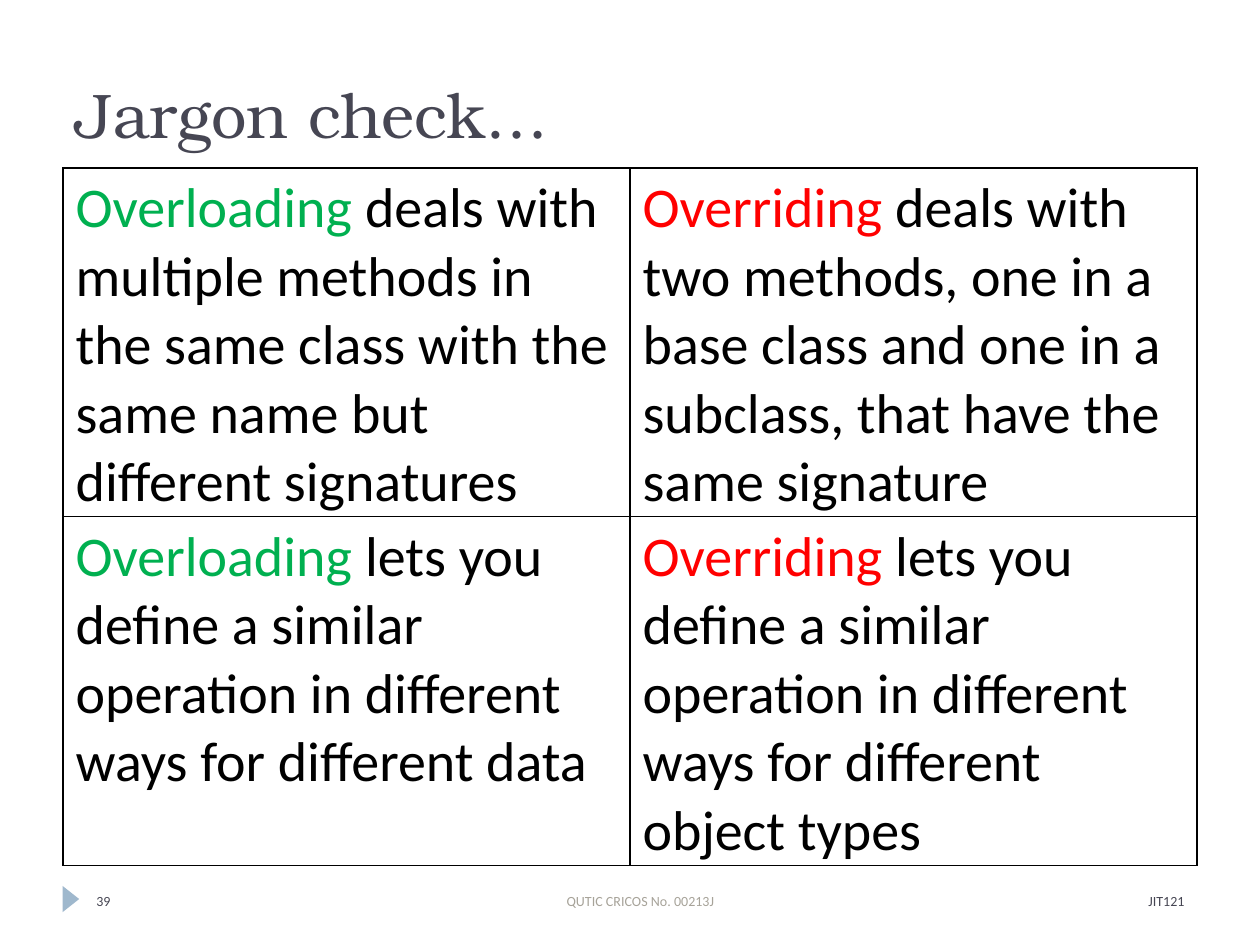
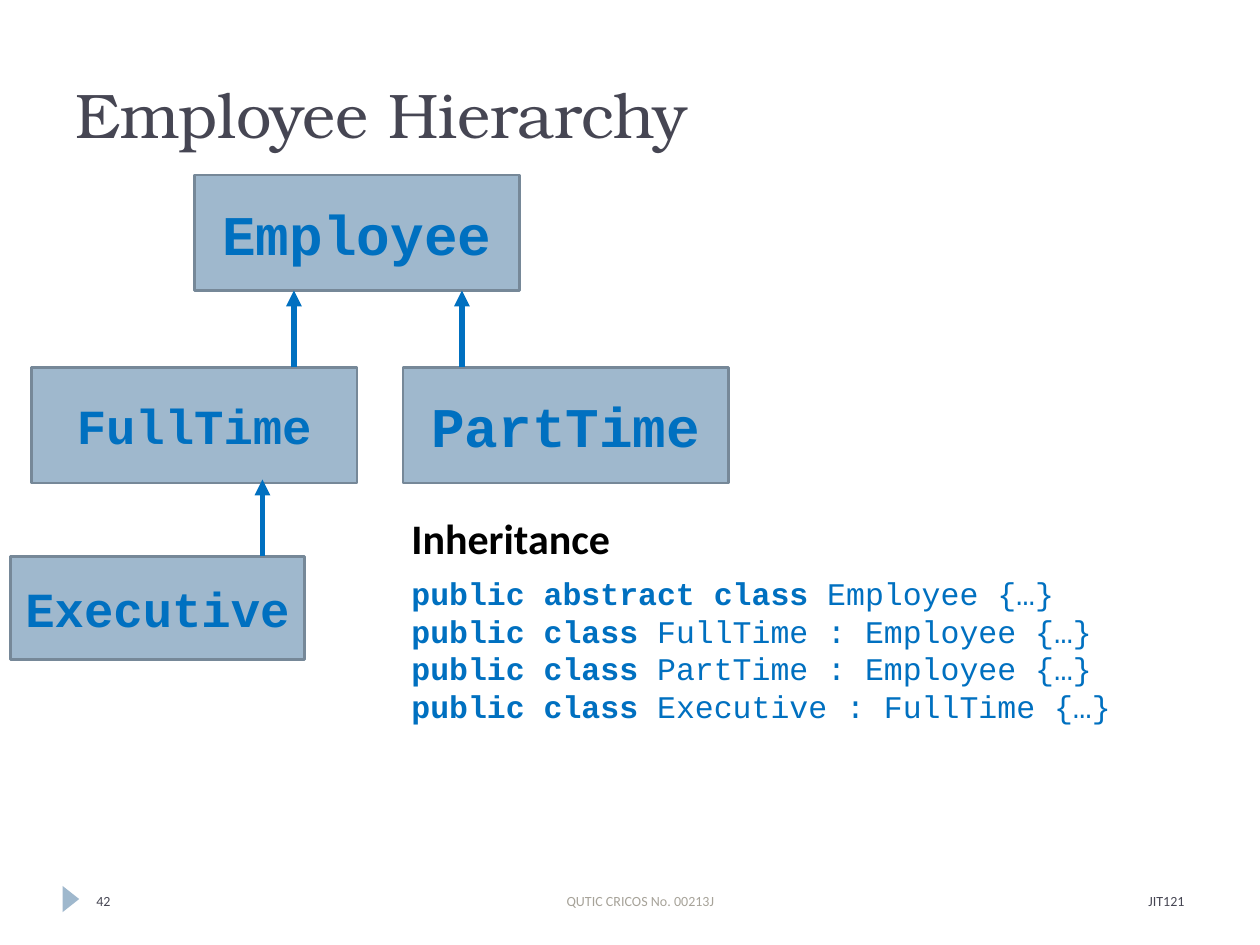
"""Builds two lecture slides on overloading, overriding and inheritance."""
from dataclasses import dataclass

from pptx import Presentation
from pptx import oxml as ox
from pptx.dml import color as dml
from pptx.enum import shapes as es, text as et
from pptx.oxml import ns
from pptx.util import Pt

HEX = {
    "ink": "464653", "grey": "A7A399", "steel": "9FB8CD", "edge": "768898",
    "blue": "0070C0", "green": "00B050", "red": "FF0000", "black": "000000",
}
SERIF, SANS, MONO = "TeX Gyre Bonum", "Calibri", "Courier New"
LEFT, MID, RIGHT = et.PP_ALIGN.LEFT, et.PP_ALIGN.CENTER, et.PP_ALIGN.RIGHT


@dataclass
class Foot:
    left: float
    width: float
    words: str
    hue: str
    align: et.PP_ALIGN


@dataclass
class Box:
    name: str
    left: float
    top: float
    size: int
    width: float = 186
    height: float = 66


@dataclass
class Arrow:
    x: float
    start: float
    end: float


@dataclass
class Cell:
    term: str
    rest: str
    hue: str


CELLS = [
    [Cell("Overloading", " deals with multiple methods in the same class with the same name"
          " but different signatures", "green"),
     Cell("Overriding", " deals with two methods, one in a base class and one in a subclass,"
          " that have the same signature", "red")],
    [Cell("Overloading", " lets you define a similar operation in different ways"
          " for different data", "green"),
     Cell("Overriding", " lets you define a similar operation in different ways"
          " for different object types", "red")],
]
BOXES = [
    Box("FullTime", 18, 210, 28),
    Box("PartTime", 230.4, 210, 32),
    Box("Employee", 111, 100, 32),
    Box("Executive", 6, 318, 28, 168, 59),
]
ARROWS = [Arrow(264, 210, 166), Arrow(168, 210, 166), Arrow(150, 318, 274)]
CODE = [
    ("public abstract class", " Employee {…}"),
    ("public class", " FullTime : Employee {…}"),
    ("public class", " PartTime : Employee {…}"),
    ("public class", " Executive : FullTime {…}"),
]


def shade(hue: str) -> dml.RGBColor:
    return dml.RGBColor.from_string(HEX[hue])


def style(para, face: str, size: float, hue: str, bold=None, align=LEFT) -> None:
    para.alignment = align
    font = para.font
    font.name, font.size, font.bold = face, Pt(size), bold
    font.color.rgb = shade(hue)


def add_text(slide, left: float, top: float, width: float, height: float):
    frame = slide.shapes.add_textbox(Pt(left), Pt(top), Pt(width), Pt(height)).text_frame
    frame.word_wrap = True
    return frame


def add_shape(slide, kind, left: float, top: float, width: float, height: float):
    shape = slide.shapes.add_shape(kind, Pt(left), Pt(top), Pt(width), Pt(height))
    shape.shadow.inherit = False
    shape.fill.solid()
    shape.fill.fore_color.rgb = shade("steel")
    return shape


def add_slide(deck, title: str, number: int):
    slide = deck.slides.add_slide(deck.slide_layouts[5])
    mark = add_shape(slide, es.MSO_SHAPE.ISOSCELES_TRIANGLE, 33, 509, 15, 9.5)
    mark.rotation = 90
    mark.line.fill.background()
    head = slide.shapes.title
    head.left, head.top, head.width, head.height = Pt(36), Pt(12), Pt(648), Pt(78)
    frame = head.text_frame
    frame.text = title
    frame.auto_size = et.MSO_AUTO_SIZE.NONE
    frame.vertical_anchor = et.MSO_ANCHOR.BOTTOM
    style(frame.paragraphs[0], SERIF, 36, "ink")
    for foot in (Foot(504, 180, "JIT121", "ink", RIGHT),
                 Foot(228, 276, "QUTIC CRICOS No. 00213J", "grey", MID),
                 Foot(48, 156, str(number), "ink", LEFT)):
        frame = add_text(slide, foot.left, 500.4, foot.width, 28.8)
        frame.vertical_anchor = et.MSO_ANCHOR.MIDDLE
        frame.text = foot.words
        style(frame.paragraphs[0], SANS, 8, foot.hue, align=foot.align)
    return slide


def add_edges(cell) -> None:
    props = cell._tc.get_or_add_tcPr()
    for side in "LRTB":
        props.append(ox.parse_xml(
            f'<a:ln{side} {ns.nsdecls("a")} w="{Pt(1)}"><a:solidFill>'
            f'<a:srgbClr val="{HEX["black"]}"/></a:solidFill></a:ln{side}>'))
    cell.fill.background()


def add_grid(slide, rows: list[list[Cell]]) -> None:
    table = slide.shapes.add_table(
        len(rows), len(rows[0]), Pt(36), Pt(96), Pt(648), Pt(398)).table
    table.first_row = table.horz_banding = False
    for r, row in enumerate(rows):
        for c, item in enumerate(row):
            cell = table.cell(r, c)
            add_edges(cell)
            para = cell.text_frame.paragraphs[0]
            style(para, SANS, 32, "black")
            run = para.add_run()
            run.text = item.term
            run.font.color.rgb = shade(item.hue)
            para.add_run().text = item.rest


def add_code(slide) -> None:
    frame = add_text(slide, 228, 289.5, 480, 134.5)
    frame.auto_size = et.MSO_AUTO_SIZE.SHAPE_TO_FIT_TEXT
    frame.text = "Inheritance"
    style(frame.paragraphs[0], SANS, 24, "black", True)
    for key, rest in CODE:
        para = frame.add_paragraph()
        style(para, MONO, 18, "blue")
        run = para.add_run()
        run.text, run.font.bold = key, True
        para.add_run().text = rest
    frame.paragraphs[1].space_before = Pt(6)


def add_box(slide, box: Box) -> None:
    shape = add_shape(slide, es.MSO_SHAPE.RECTANGLE, box.left, box.top, box.width, box.height)
    shape.line.color.rgb = shade("edge")
    shape.line.width = Pt(1.5)
    frame = shape.text_frame
    frame.text = box.name
    frame.vertical_anchor = et.MSO_ANCHOR.MIDDLE
    style(frame.paragraphs[0], MONO, box.size, "blue", True, MID)


def add_arrow(slide, arrow: Arrow) -> None:
    link = slide.shapes.add_connector(
        es.MSO_CONNECTOR.STRAIGHT, Pt(arrow.x), Pt(arrow.start), Pt(arrow.x), Pt(arrow.end))
    link.line.color.rgb = shade("blue")
    link.line.width = Pt(3)
    link.line._get_or_add_ln().append(
        ox.parse_xml(f'<a:tailEnd {ns.nsdecls("a")} type="triangle"/>'))
    link._element.spPr.append(ox.parse_xml(f'<a:effectLst {ns.nsdecls("a")}/>'))


def main() -> None:
    deck = Presentation()
    deck.slide_width, deck.slide_height = Pt(720), Pt(540)
    add_grid(add_slide(deck, "Jargon check…", 39), CELLS)
    tree = add_slide(deck, "Employee Hierarchy", 42)
    add_code(tree)
    for box in BOXES:
        add_box(tree, box)
    for arrow in ARROWS:
        add_arrow(tree, arrow)
    deck.save("out.pptx")


if __name__ == "__main__":
    main()
